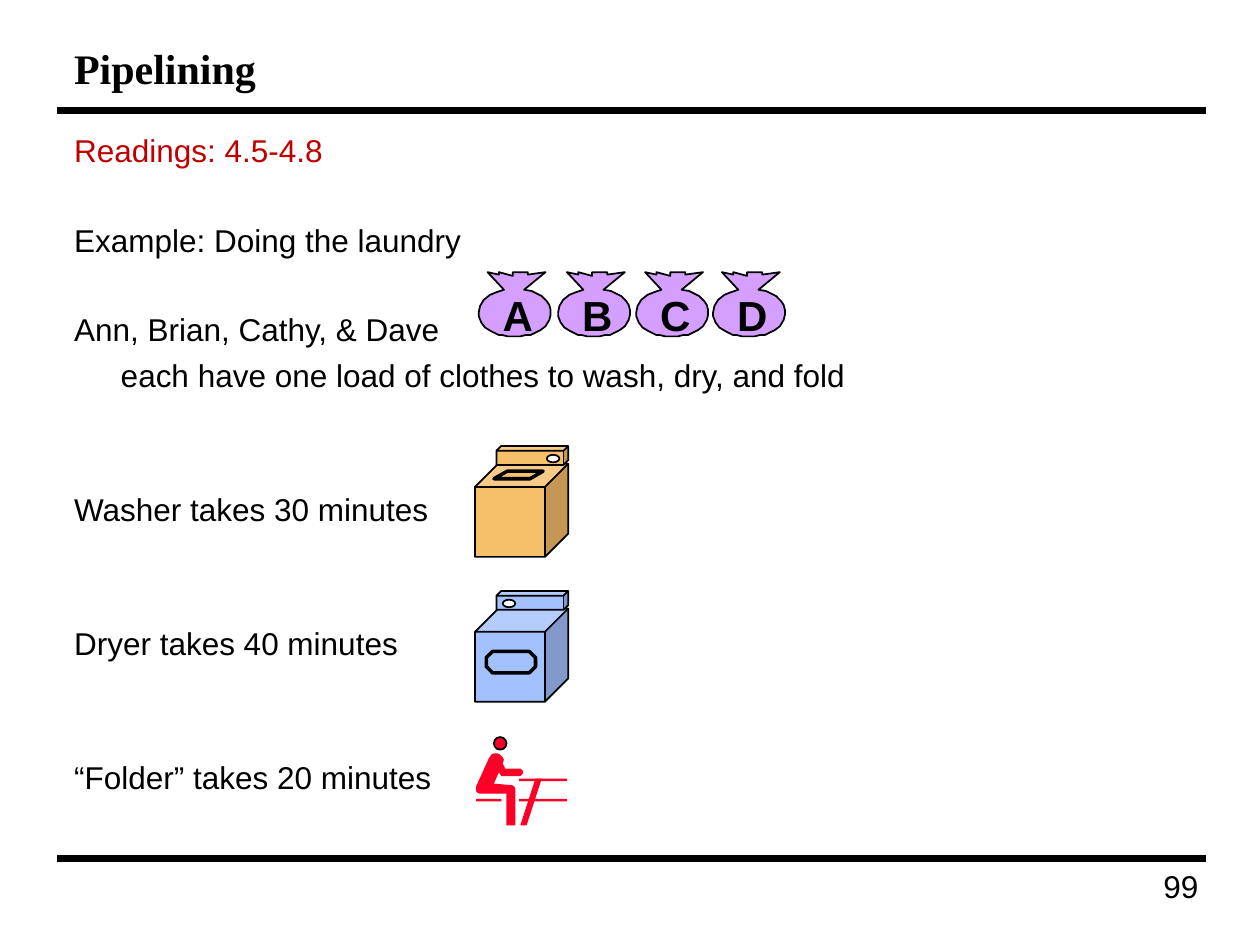
from lxml import etree
from pptx import Presentation
from pptx.dml.color import RGBColor
from pptx.enum.shapes import MSO_CONNECTOR, MSO_SHAPE as Shape
from pptx.enum.text import MSO_ANCHOR, PP_ALIGN
from pptx.oxml.ns import qn
from pptx.util import Inches, Pt

COLORS = {
    "black": "000000", "white": "FFFFFF", "reading": "C00000",
    "washer": "F6BF69", "dryer": "A2C1FE", "folder": "FC0128", "bag": "D49FFF",
}

deck = Presentation()
deck.slide_width, deck.slide_height = Inches(10), Inches(7.5)
page = deck.slides.add_slide(deck.slide_layouts[6])


def paint(shape, fill, line_width=0):
    shape.shadow.inherit = False
    shape.fill.solid()
    shape.fill.fore_color.rgb = RGBColor.from_string(COLORS[fill])
    if line_width:
        shape.line.color.rgb = RGBColor.from_string(COLORS["black"])
        shape.line.width = Pt(line_width)
    else:
        shape.line.fill.background()


def add_text(bounds, lines, size, font="Arial", bold=False, align=PP_ALIGN.LEFT):
    box = page.shapes.add_textbox(*[Inches(length) for length in bounds])
    frame = box.text_frame
    frame.word_wrap = True
    frame.text = "\n".join(lines)
    for para in frame.paragraphs:
        para.alignment = align
        para.font.size = Pt(size)
        para.font.name = font
        para.font.bold = bold
        para.font.color.rgb = RGBColor.from_string(COLORS["black"])
    return frame


for y in (0.88, 6.81):
    rule = page.shapes.add_connector(
        MSO_CONNECTOR.STRAIGHT, Inches(0.45), Inches(y), Inches(9.57), Inches(y))
    rule.line.color.rgb = RGBColor.from_string(COLORS["black"])
    rule.line.width = Pt(4)
    etree.SubElement(rule._element.spPr, qn("a:effectLst"))

add_text((7.56, 6.83, 2.05, 0.49), ["99"], 18, align=PP_ALIGN.RIGHT)
title = add_text((0.49, 0.25, 9.04, 0.58), ["Pipelining"], 24, "Times New Roman", True)
title.vertical_anchor = MSO_ANCHOR.MIDDLE

body_lines = [
    ("Readings: 4.5-4.8", 0),
    ("Example: Doing the laundry", 29.7),
    ("Ann, Brian, Cathy, & Dave", 29.7),
    ("each have one load of clothes to wash, dry, and fold", 4.5),
    ("Washer takes 30 minutes", 54.9),
    ("Dryer takes 40 minutes", 54.9),
    ("“Folder” takes 20 minutes", 54.9),
]
body = add_text((0.49, 0.99, 9.04, 5.76), [line for line, gap in body_lines], 18)
for para, (line, gap) in zip(body.paragraphs, body_lines):
    para.space_before = Pt(gap)
body.paragraphs[0].font.color.rgb = RGBColor.from_string(COLORS["reading"])
body.paragraphs[3]._p.get_or_add_pPr().set("marL", str(Inches(0.37)))

parts = [
    (Shape.CUBE, 3.77, 4.83, 0.74, 0.74, "dryer", 1, 0.25),
    (Shape.CUBE, 3.94, 4.69, 0.57, 0.15, "dryer", 1, 0.25),
    (Shape.OVAL, 3.99, 4.76, 0.1, 0.06, "white", 1, None),
    (Shape.OCTAGON, 3.86, 5.17, 0.39, 0.17, "dryer", 2, 0.29),
    (Shape.CUBE, 3.77, 3.68, 0.74, 0.74, "washer", 1, 0.25),
    (Shape.CUBE, 3.94, 3.54, 0.57, 0.15, "washer", 1, 0.25),
    (Shape.PARALLELOGRAM, 3.92, 3.74, 0.39, 0.06, "washer", 2, 1.75),
    (Shape.OVAL, 4.34, 3.61, 0.1, 0.06, "white", 1, None),
    (Shape.RECTANGLE, 4.12, 6.18, 0.38, 0.02, "folder", 0, None),
    (Shape.RECTANGLE, 4.12, 6.34, 0.38, 0.02, "folder", 0, None),
    (Shape.RECTANGLE, 3.78, 6.34, 0.2, 0.02, "folder", 0, None),
    (Shape.OVAL, 3.92, 5.85, 0.1, 0.1, "folder", 1, None),
]
for kind, left, top, width, height, fill, line_width, adjustment in parts:
    part = page.shapes.add_shape(
        kind, Inches(left), Inches(top), Inches(width), Inches(height))
    paint(part, fill, line_width)
    if adjustment is not None:
        part.adjustments[0] = adjustment

table_leg = [(425, 618), (430, 618), (418, 655), (413, 655)]
sitting_body = [
    (388, 602), (378, 624), (378, 628), (380, 630), (382, 630), (402, 630),
    (402, 655), (409, 655), (409, 626), (408, 624), (406, 623), (404, 623),
    (392, 622), (396, 613), (398, 616), (413, 616), (415, 614), (415, 612),
    (413, 610), (401, 610), (399, 606), (400, 603), (399, 601), (397, 599),
    (395, 598), (392, 598), (390, 599),
]
bag = [
    (7, 0), (16, 2), (16, 0), (27, 3), (27, 0), (39, 0), (39, 2), (53, 0),
    (36, 14), (42, 15), (46, 17), (50, 19), (54, 23), (56, 26), (57, 30),
    (57, 34), (56, 38), (53, 43), (49, 46), (45, 48), (41, 50), (37, 50),
    (33, 51), (23, 51), (19, 50), (16, 50), (10, 47), (5, 44), (2, 40),
    (0, 35), (0, 32), (1, 27), (4, 22), (9, 18), (14, 16), (20, 14),
]
bag_lefts = {"A": 380, "B": 443, "C": 505, "D": 566}
outlines = [(table_leg, "folder", 0), (sitting_body, "folder", 0)]
for left in bag_lefts.values():
    outlines.append(([(left + x, 216 + y) for x, y in bag], "bag", 1))
for points, fill, line_width in outlines:
    builder = page.shapes.build_freeform(*points[0], scale=Inches(0.01))
    builder.add_line_segments(points[1:], close=True)
    paint(builder.convert_to_shape(), fill, line_width)

for letter, left in bag_lefts.items():
    label = add_text((left / 100 + 0.09, 2.25, 0.44, 0.5), [letter], 24,
                     bold=True, align=PP_ALIGN.CENTER)
    label.word_wrap = False

deck.save("out.pptx")
